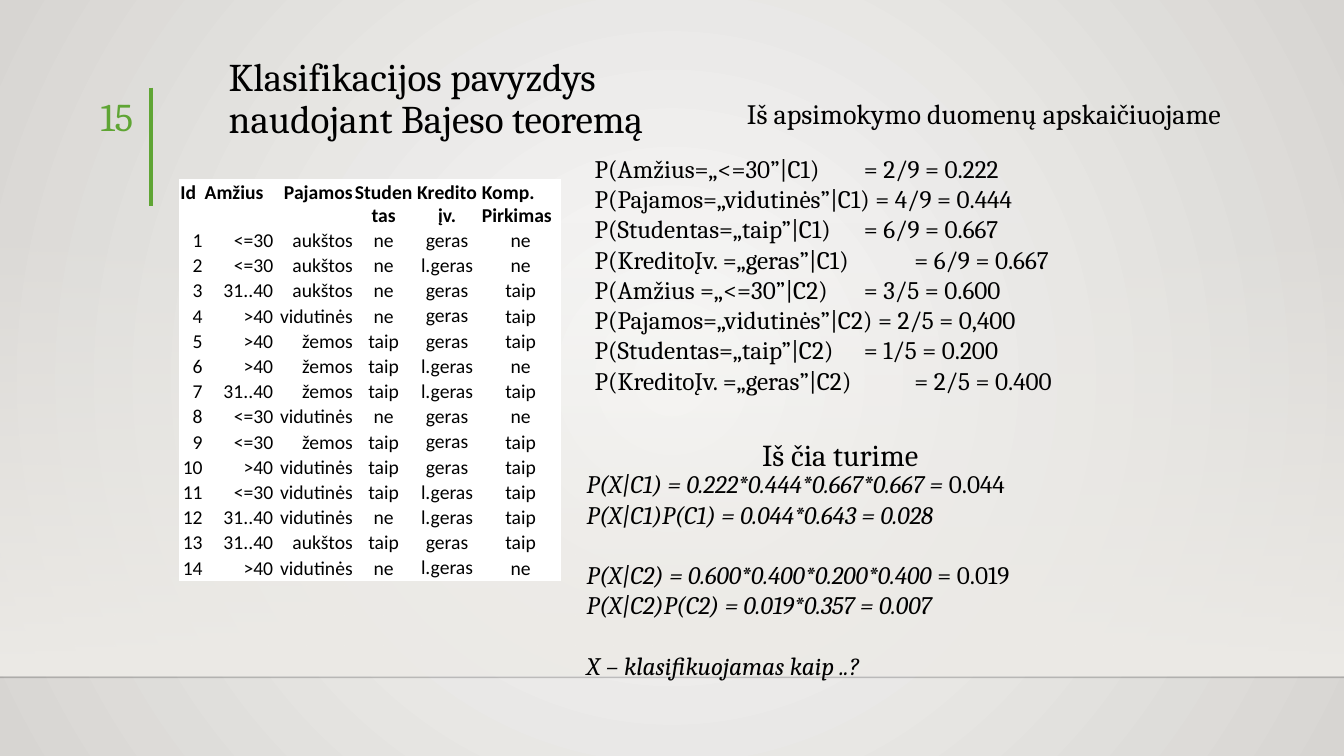
import dataclasses
import typing

import lxml.etree
import pptx
import pptx.dml.color
import pptx.enum.shapes
import pptx.enum.text
import pptx.oxml.ns
import pptx.util

Inches = pptx.util.Inches
Pt = pptx.util.Pt
RGBColor = pptx.dml.color.RGBColor
Align = pptx.enum.text.PP_ALIGN
Anchor = pptx.enum.text.MSO_ANCHOR
qn = pptx.oxml.ns.qn

BLACK = RGBColor(0, 0, 0)
INK = RGBColor(0, 0, 1)
WHITE = RGBColor(255, 255, 255)
GREEN = RGBColor(0x5F, 0xA5, 0x34)
PALE = RGBColor(0xFA, 0xFA, 0xF9)
GREY = RGBColor(0xD7, 0xD5, 0xD2)
FLOOR = RGBColor(0xED, 0xEB, 0xE7)

LEFT, MID, RIGHT = Align.LEFT, Align.CENTER, Align.RIGHT


@dataclasses.dataclass
class Line:
    text: str
    tail: str = ""
    before: float = 0
    tab: float = 0
    indent: float = 0
    space: float = 1


@dataclasses.dataclass
class Block:
    at: tuple[float, float, float, float]
    lines: list[Line]
    size: float
    color: RGBColor = BLACK
    slant: bool = False
    align: Align = LEFT
    anchor: Anchor = Anchor.TOP


@dataclasses.dataclass
class Rule:
    start: tuple[float, float]
    end: tuple[float, float]
    color: RGBColor
    width: float
    alpha: int = 100


@dataclasses.dataclass
class Column:
    head: str
    width: float
    top: Align
    body: Align
    hang: Anchor = Anchor.BOTTOM
    rest: Anchor = Anchor.BOTTOM


RULES = [
    Rule((0, 6.72), (13.33, 6.72), INK, 1, 20),
    Rule((1.5, 0.87), (1.5, 2.04), GREEN, 3),
]

NEAR, FAR = 2.67, 3.17
ODDS = [
    Line("P(Amžius=„<=30”|C1)\t= 2/9 = 0.222", tab=NEAR),
    Line("P(Pajamos=„vidutinės”|C1) = 4/9 = 0.444"),
    Line("P(Studentas=„taip”|C1)\t= 6/9 = 0.667", tab=NEAR),
    Line("P(KreditoĮv. =„geras”|C1)\t= 6/9 = 0.667", tab=FAR),
    Line("P(Amžius =„<=30”|C2)\t= 3/5 = 0.600", tab=NEAR),
    Line("P(Pajamos=„vidutinės”|C2) = 2/5 = 0,400"),
    Line("P(Studentas=„taip”|C2)\t= 1/5 = 0.200", tab=NEAR),
    Line("P(KreditoĮv. =„geras”|C2)\t= 2/5 = 0.400", tab=FAR),
]

GAP = 21.6
RESULT = [
    Line("P(X|C1) = 0.222*0.444*0.667*0.667 =", " 0.044"),
    Line("P(X|C1)P(C1) = 0.044*0.643 = 0.028"),
    Line("P(X|C2) = 0.600*0.400*0.200*0.400 ", "= 0.019", before=GAP),
    Line("P(X|C2)P(C2) = 0.019*0.357 = 0.007"),
    Line("X – klasifikuojamas kaip ..?", before=GAP),
]

BLOCKS = [
    Block((2.17, 0.52, 5.37, 0.94),
          [Line("Klasifikacijos pavyzdys naudojant Bajeso teoremą", space=0.9)],
          28, anchor=Anchor.BOTTOM),
    Block((7.06, 0.84, 5.95, 0.94),
          [Line("Iš apsimokymo duomenų apskaičiuojame",
                before=10, indent=0.25, space=1.2)], 20),
    Block((5.8, 1.47, 5.83, 2.52), ODDS, 18),
    Block((7.06, 4.28, 3.87, 0.39),
          [Line("Iš čia turime", before=3, indent=0.4)], 21.7),
    Block((5.72, 4.6, 5.91, 2.22), RESULT, 18, slant=True),
    Block((0.53, 0.87, 0.89, 0.82), [Line("15")], 28, GREEN, align=RIGHT),
]

COLUMNS = [
    Column("Id", 0.24, LEFT, RIGHT, hang=Anchor.TOP),
    Column("Amžius", 0.7, LEFT, RIGHT, hang=Anchor.TOP),
    Column("Pajamos", 0.79, RIGHT, RIGHT, hang=Anchor.TOP),
    Column("Studentas", 0.59, MID, MID),
    Column("Kredito įv.", 0.67, MID, MID, Anchor.MIDDLE, Anchor.MIDDLE),
    Column("Komp. Pirkimas", 0.79, LEFT, MID),
]

DATA = """<=30 aukštos ne geras ne
<=30 aukštos ne l.geras ne
31..40 aukštos ne geras taip
>40 vidutinės ne geras taip
>40 žemos taip geras taip
>40 žemos taip l.geras ne
31..40 žemos taip l.geras taip
<=30 vidutinės ne geras ne
<=30 žemos taip geras taip
>40 vidutinės taip geras taip
<=30 vidutinės taip l.geras taip
31..40 vidutinės ne l.geras taip
31..40 aukštos taip geras taip
>40 vidutinės ne l.geras ne"""


def fade(node: typing.Any, alpha: int) -> None:
    lxml.etree.SubElement(node, qn("a:alpha"), val=str(alpha * 1000))


def blend(fill: typing.Any, first: RGBColor, last: RGBColor) -> None:
    fill.gradient()
    for stop, color in zip(fill.gradient_stops, (first, last)):
        stop.color.rgb = color


def draw_back(slide: typing.Any) -> None:
    blend(slide.background.fill, PALE, GREY)
    grad = next(slide.element.iter(qn("a:gradFill")))
    grad.remove(grad.find(qn("a:lin")))
    ring = lxml.etree.SubElement(grad, qn("a:path"), path="circle")
    lxml.etree.SubElement(ring, qn("a:fillToRect"),
                          dict.fromkeys("ltrb", "50000"))
    floor = slide.shapes.add_shape(
        pptx.enum.shapes.MSO_SHAPE.RECTANGLE,
        Inches(0), Inches(2.2), Inches(13.33), Inches(4.5))
    floor.shadow.inherit = False
    floor.line.fill.background()
    blend(floor.fill, FLOOR, FLOOR)
    floor.fill.gradient_angle = 270
    fade(next(floor.element.iter(qn("a:srgbClr"))), 0)


def draw_rule(slide: typing.Any, rule: Rule) -> None:
    link = slide.shapes.add_connector(
        pptx.enum.shapes.MSO_CONNECTOR.STRAIGHT,
        *map(Inches, rule.start + rule.end))
    link.line.color.rgb = rule.color
    link.line.width = Pt(rule.width)
    if rule.alpha < 100:
        fade(next(link.element.iter(qn("a:srgbClr"))), rule.alpha)
    lxml.etree.SubElement(link.element.spPr, qn("a:effectLst"))


def style(run: typing.Any, name: str, size: float, color: RGBColor) -> None:
    run.font.name = name
    run.font.size = Pt(size)
    run.font.color.rgb = color


def draw_block(slide: typing.Any, block: Block) -> None:
    frame = slide.shapes.add_textbox(*map(Inches, block.at)).text_frame
    frame.word_wrap = True
    frame.vertical_anchor = block.anchor
    frame.text = "\n".join(line.text for line in block.lines)
    for para, line in zip(frame.paragraphs, block.lines):
        para.alignment = block.align
        para.line_spacing = line.space
        para.space_before = Pt(line.before)
        props = para._p.get_or_add_pPr()
        if line.indent:
            props.set("marL", str(Inches(line.indent)))
        if line.tab:
            tabs = lxml.etree.SubElement(props, qn("a:tabLst"))
            lxml.etree.SubElement(tabs, qn("a:tab"),
                                  pos=str(Inches(line.tab)), algn="l")
        if line.tail:
            para.add_run().text = line.tail
        for spot, run in enumerate(para.runs):
            style(run, "Cambria", block.size, block.color)
            run.font.italic = block.slant and spot == 0


def draw_table(slide: typing.Any) -> None:
    rows = [[column.head for column in COLUMNS]]
    rows += [[str(i), *row.split()] for i, row in enumerate(DATA.splitlines(), 1)]
    table = slide.shapes.add_table(
        len(rows), len(COLUMNS), Inches(1.78), Inches(1.78),
        Inches(3.78), Inches(0.25 * len(rows))).table
    table.first_row = table.horz_banding = False
    for x, column in enumerate(COLUMNS):
        table.columns[x].width = Inches(column.width)
        for y, row in enumerate(rows):
            cell = table.cell(y, x)
            cell.fill.solid()
            cell.fill.fore_color.rgb = WHITE
            cell.margin_left = cell.margin_right = cell.margin_top = Inches(0.01)
            cell.margin_bottom = 0
            cell.vertical_anchor = column.rest if y else column.hang
            cell.text_frame.text = row[x]
            para = cell.text_frame.paragraphs[0]
            para.alignment = column.body if y else column.top
            style(para.runs[0], "Calibri", 14, BLACK)
            para.runs[0].font.bold = y == 0


def main() -> None:
    deck = pptx.Presentation()
    deck.slide_width, deck.slide_height = Inches(13.33), Inches(7.5)
    slide = deck.slides.add_slide(deck.slide_layouts[6])
    draw_back(slide)
    for rule in RULES:
        draw_rule(slide, rule)
    for block in BLOCKS:
        draw_block(slide, block)
    draw_table(slide)
    deck.save("out.pptx")


if __name__ == "__main__":
    main()
